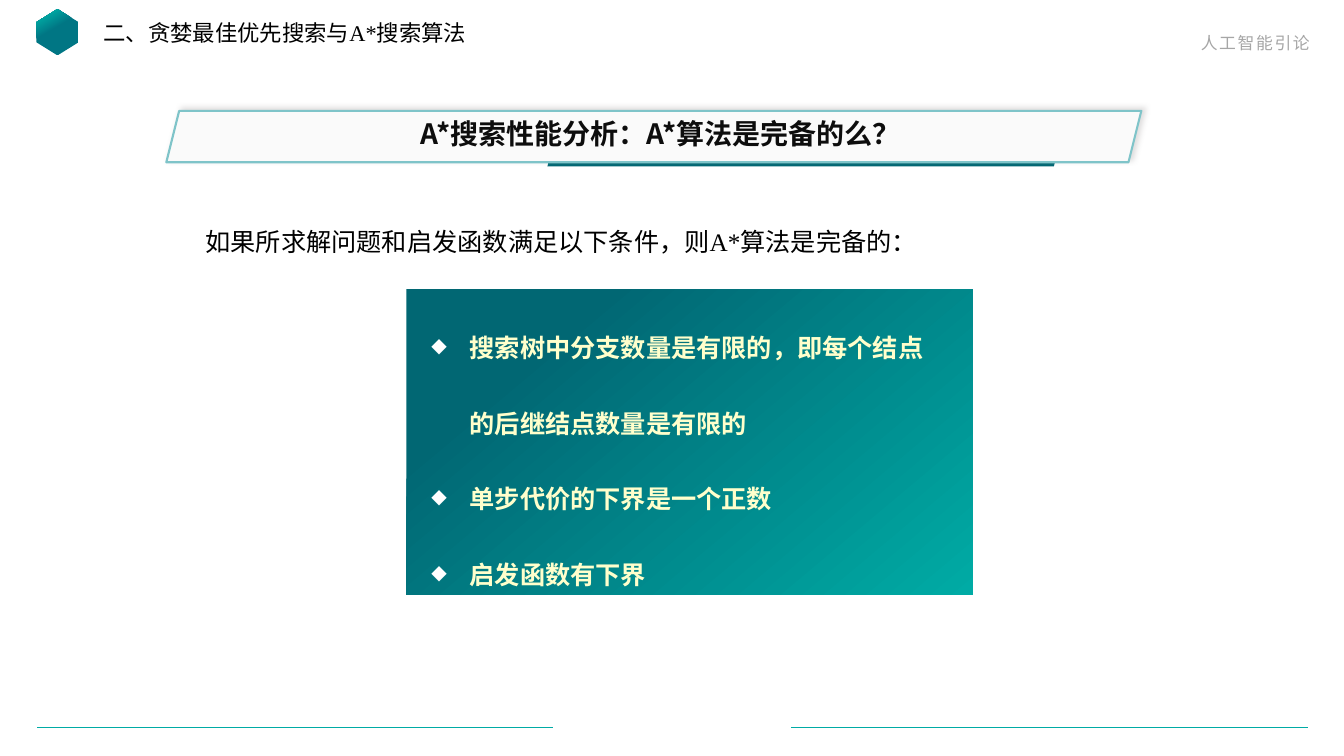
from lxml import etree
from pptx import Presentation
from pptx.dml.color import RGBColor
from pptx.enum.shapes import MSO_CONNECTOR as Link, MSO_SHAPE as Kind
from pptx.enum.text import MSO_AUTO_SIZE as Fit, PP_ALIGN as Align
from pptx.oxml.ns import qn
from pptx.util import Inches, Pt

SANS = "Noto Sans CJK SC"
SERIF = "Times New Roman"
DEEP = "016773"
TEAL = "00ABA5"


def tint(code):
    return RGBColor.from_string(code)


def add(root, tag, **attrs):
    return etree.SubElement(root, qn(tag), {key: str(val) for key, val in attrs.items()})


class Deck:
    """Holds the style and the current slide, and draws each kind of element."""

    def __init__(self):
        self.file = Presentation()
        self.file.slide_width = Inches(13.33)
        self.file.slide_height = Inches(7.5)
        self.slide = self.file.slides.add_slide(self.file.slide_layouts[6])

    def shape(self, kind, box, fill=None, line=None, turn=0, adjust=()):
        item = self.slide.shapes.add_shape(kind, *map(Inches, box))
        item.shadow.inherit = False
        item.rotation = turn
        for spot, value in enumerate(adjust):
            item.adjustments[spot] = value
        if fill:
            item.fill.solid()
            item.fill.fore_color.rgb = tint(fill)
        if line:
            item.line.color.rgb = tint(line)
            item.line.width = Pt(1.5)
        else:
            item.line.fill.background()
        return item

    def blend(self, item, stops, angle):
        item.fill.gradient()
        item.fill.gradient_angle = 360 - angle
        for stop, (place, code) in zip(item.fill.gradient_stops, stops):
            stop.position = place
            stop.color.rgb = tint(code)

    def shade(self, item, code, alpha, blur, dist, angle):
        root = item._element.spPr.find(qn("a:effectLst"))
        cast = add(root, "a:outerShdw", blurRad=Pt(blur), dist=Pt(dist),
                   dir=angle * 60000, algn="bl", rotWithShape=0)
        add(add(cast, "a:srgbClr", val=code), "a:alpha", val=alpha * 1000)

    def rule(self, start, end, top):
        item = self.slide.shapes.add_connector(
            Link.STRAIGHT, *map(Inches, (start, top, end, top)))
        item.line.color.rgb = tint(TEAL)
        item.line.width = Pt(0.5)
        add(item._element.spPr, "a:effectLst")

    def text(self, box, lines, size, font, color, bold=False, align=Align.LEFT,
             space=None, indent=(0, 0), mark=None, track=0, fit=Fit.SHAPE_TO_FIT_TEXT):
        frame = self.slide.shapes.add_textbox(*map(Inches, box)).text_frame
        frame.word_wrap = True
        frame.auto_size = fit
        for order, words in enumerate(lines):
            para = frame.paragraphs[0] if order == 0 else frame.add_paragraph()
            para.alignment = align
            if space:
                para.line_spacing = space
            props = para._p.get_or_add_pPr()
            props.set("marL", str(Inches(indent[0])))
            props.set("indent", str(Inches(indent[1])))
            if mark:
                add(add(props, "a:buClr"), "a:srgbClr", val="FFFFFF")
                add(props, "a:buSzPct", val=80000)
                add(props, "a:buChar", char=mark)
            run = para.add_run()
            run.text = words
            run.font.size = Pt(size)
            run.font.name = font
            run.font.bold = bold
            run.font.color.rgb = tint(color)
            add(run._r.rPr, "a:ea", typeface=SANS)
            if track:
                run._r.rPr.set("spc", str(int(track * 100)))


def main():
    deck = Deck()
    deck.text((9.57, 0.28, 3.52, 0.3), ["人工智能引论"], 12, SANS, "A6A6A6",
              align=Align.RIGHT, track=1.2)
    badge = deck.shape(Kind.HEXAGON, (0.34, 0.11, 0.46, 0.42), turn=90, adjust=(0.31, 1.15))
    deck.blend(badge, [(0.57, "007684"), (0.87, TEAL)], 150)
    for start, end in ((5.48, 0.37), (12.97, 7.85)):
        deck.rule(start, end, 7.22)

    deck.shape(Kind.PARALLELOGRAM, (5.43, 1.14, 5.15, 0.51), DEEP)
    banner = deck.shape(Kind.PARALLELOGRAM, (1.65, 1.1, 9.67, 0.51), "FAFAFA", "7FC4C9")
    deck.shade(banner, "AFABAB", 40, 4, 3, 315)
    deck.text((2.38, 1.11, 8.35, 0.44), ["A*搜索性能分析：A*算法是完备的么？"], 20, SANS,
              "0D0D0D", bold=True, align=Align.CENTER)

    deck.text((0.93, 0.14, 3.84, 0.37), ["二、贪婪最佳优先搜索与A*搜索算法"], 16, SERIF, "000000")
    deck.text((1.65, 1.9, 11.02, 0.62), ["如果所求解问题和启发函数满足以下条件，则A*算法是完备的："],
              18, SERIF, "000000", align=Align.JUSTIFY, space=2.0, indent=(0, 0.29))

    panel = deck.shape(Kind.RECTANGLE, (4.03, 2.87, 5.62, 3.03))
    deck.blend(panel, [(0.22, DEEP), (1.0, TEAL)], 50)
    terms = ["搜索树中分支数量是有限的，即每个结点的后继结点数量是有限的",
             "单步代价的下界是一个正数", "启发函数有下界"]
    deck.text((4.18, 2.8, 5.18, 3), terms, 18, SANS, "FFFFCC", bold=True, space=2.5,
              indent=(0.38, -0.38), mark="◆", fit=Fit.NONE)
    deck.file.save("out.pptx")


if __name__ == "__main__":
    main()
